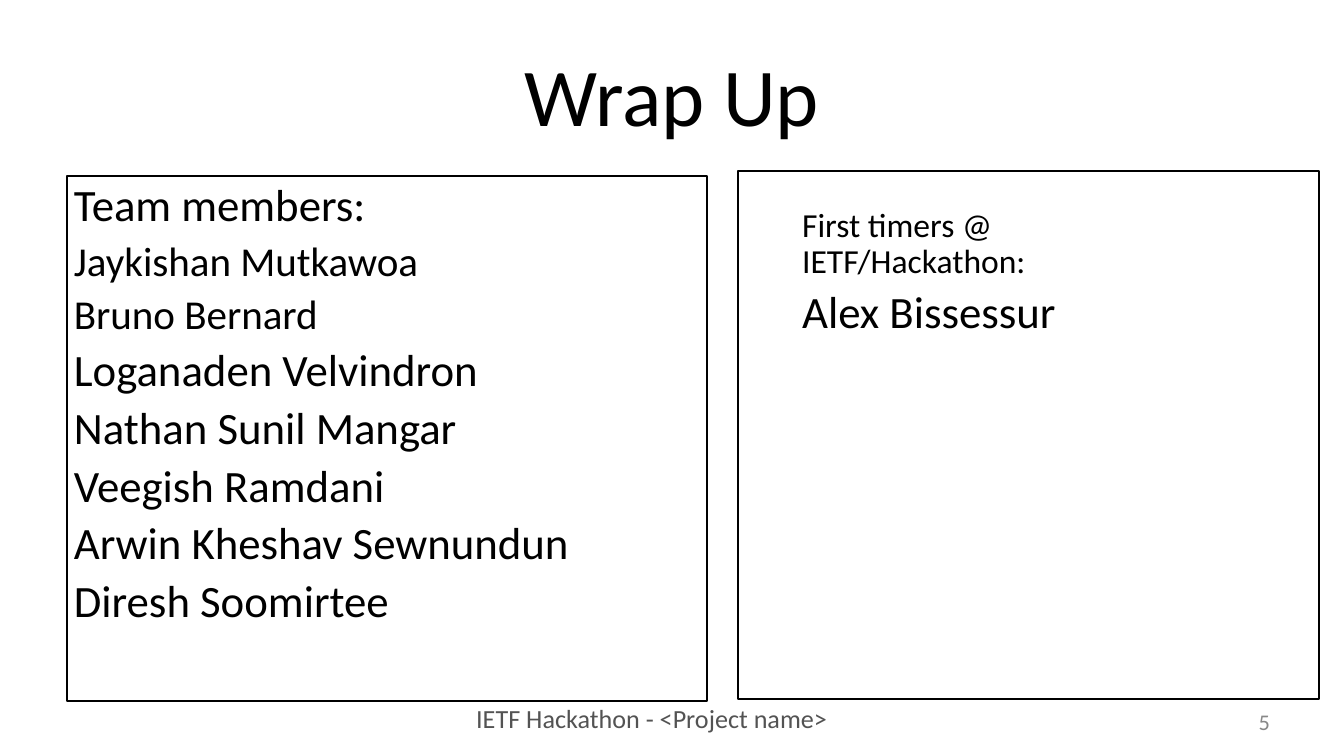
"""Build the wrap-up slide that lists team members and first timers."""
import pptx
import pptx.dml.color
import pptx.enum.shapes
import pptx.enum.text
import pptx.oxml
import pptx.util

Pt = pptx.util.Pt
Align = pptx.enum.text.PP_ALIGN
Anchor = pptx.enum.text.MSO_ANCHOR
BLACK = pptx.dml.color.RGBColor(0x00, 0x00, 0x00)
DARK_GRAY = pptx.dml.color.RGBColor(0x53, 0x53, 0x53)
GRAY = pptx.dml.color.RGBColor(0x88, 0x88, 0x88)

TEAM = [
    ("Team members:", 24),
    ("Jaykishan Mutkawoa", 22),
    ("Bruno Bernard", 22),
    ("Loganaden Velvindron", 24),
    ("Nathan Sunil Mangar", 24),
    ("Veegish Ramdani", 24),
    ("Arwin Kheshav Sewnundun", 24),
    ("Diresh Soomirtee", 24),
]
FIRST_TIMERS = [("First timers @ IETF/Hackathon:", 18), ("Alex Bissessur", 24)]
LIST_FORMAT = {"alignment": Align.LEFT, "line_spacing": 0.9,
               "space_before": Pt(5), "space_after": Pt(0)}


def apply(target, values):
    for name, value in values.items():
        setattr(target, name, value)


class SlideBuilder:
    font = "Calibri"
    inset = 3.6

    def __init__(self, slide):
        self.slide = slide

    def place(self, shape, bounds):
        apply(shape, dict(zip(("left", "top", "width", "height"), map(Pt, bounds))))

    def outline(self, shape):
        shape.fill.background()
        shape.line.color.rgb = BLACK
        shape.line.width = Pt(1)

    def add_lines(self, shape, lines, color=BLACK, anchor=Anchor.TOP, wrap=True,
                  side=inset, paragraph_format=None):
        frame = shape.text_frame
        apply(frame, {
            "auto_size": pptx.enum.text.MSO_AUTO_SIZE.NONE,
            "word_wrap": wrap, "vertical_anchor": anchor,
            "margin_left": Pt(side), "margin_right": Pt(side),
            "margin_top": Pt(self.inset), "margin_bottom": Pt(self.inset),
        })
        for index, (text, size) in enumerate(lines):
            para = frame.add_paragraph() if index else frame.paragraphs[0]
            apply(para, paragraph_format or {})
            span = para.add_run()
            span.text = text
            apply(span.font, {"name": self.font, "size": Pt(size)})
            span.font.color.rgb = color

    def title(self, text, bounds):
        box = self.slide.shapes.title
        self.place(box, bounds)
        self.add_lines(box, [(text, 44)], anchor=Anchor.MIDDLE,
                       paragraph_format={"alignment": Align.CENTER})

    def listing(self, position, lines, bounds, side=inset, framed=False):
        box = self.slide.placeholders[position]
        self.place(box, bounds)
        if framed:
            self.outline(box)
        self.add_lines(box, lines, side=side, paragraph_format=LIST_FORMAT)
        for para in box.text_frame.paragraphs:
            properties = para._p.get_or_add_pPr()
            properties.set("marL", "0")
            properties.set("indent", "0")
            properties.append(pptx.oxml.parse_xml(
                '<a:buNone xmlns:a="http://schemas.openxmlformats.org/drawingml/2006/main"/>'))

    def panel(self, bounds):
        box = self.slide.shapes.add_shape(
            pptx.enum.shapes.MSO_SHAPE.RECTANGLE, *map(Pt, bounds))
        box.shadow.inherit = False
        self.outline(box)

    def label(self, text, size, bounds, color, **style):
        box = self.slide.shapes.add_textbox(*map(Pt, bounds))
        self.add_lines(box, [(text, size)], color, **style)


def main():
    deck = pptx.Presentation()
    apply(deck, {"slide_width": Pt(720), "slide_height": Pt(405)})
    page = SlideBuilder(deck.slides.add_slide(deck.slide_layouts[3]))
    page.title("Wrap Up", (36, 16.5, 648, 67.5))
    page.listing(1, TEAM, (36, 94.5, 343, 281), framed=True)
    page.panel((395.5, 91.5, 311, 283))
    page.listing(2, FIRST_TIMERS, (422.5, 108, 240, 50), side=7.2)
    page.label("IETF Hackathon - <Project name>", 14, (251.5, 372.5, 195, 24),
               DARK_GRAY, wrap=False)
    page.label("5", 12, (669.5, 376, 14.5, 21), GRAY, anchor=Anchor.MIDDLE,
               paragraph_format={"alignment": Align.RIGHT})
    deck.save("out.pptx")


if __name__ == "__main__":
    main()
